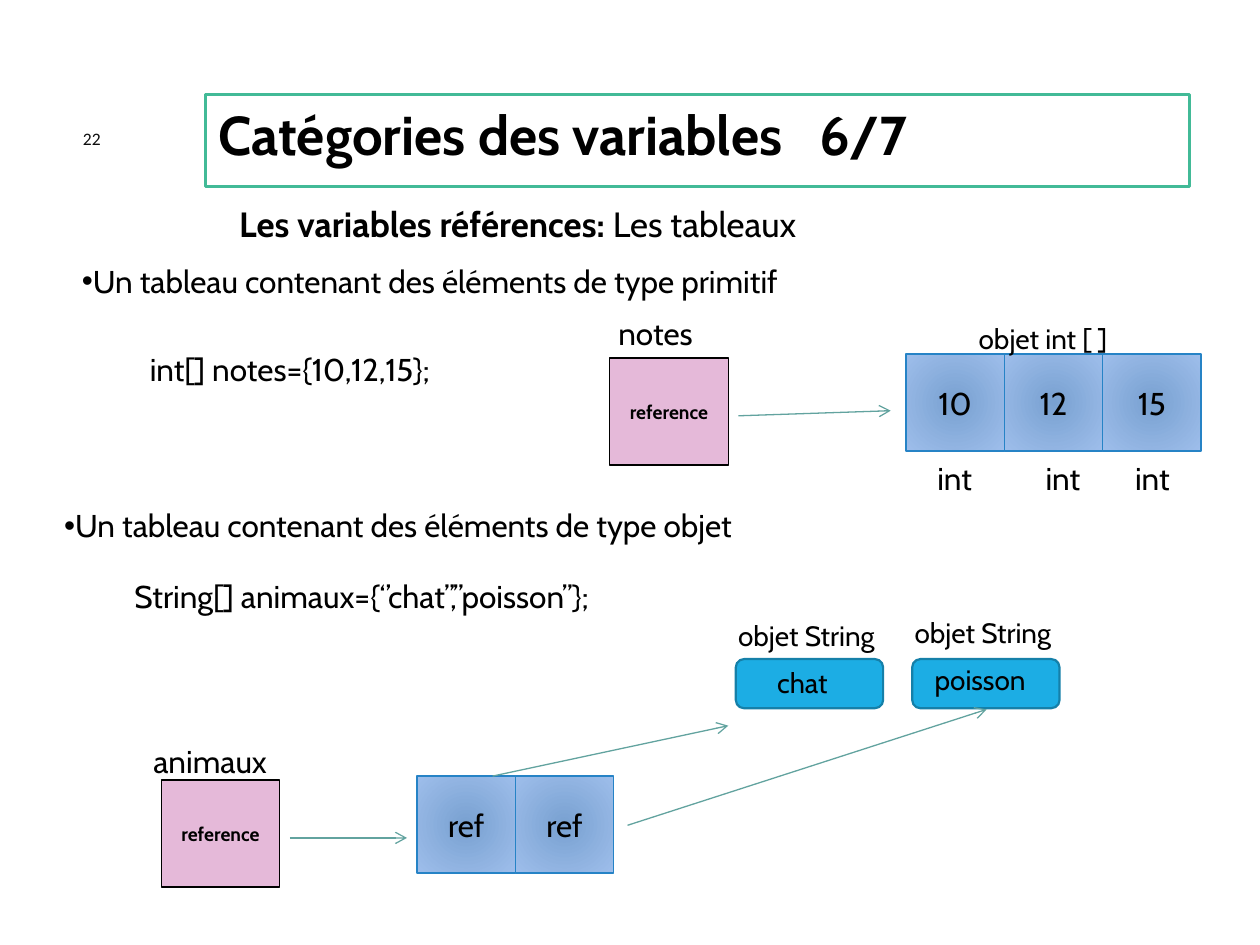
"""Build the slide on array reference variables."""
from dataclasses import dataclass

from lxml.etree import SubElement
from pptx import Presentation
from pptx.dml.color import RGBColor as Rgb
from pptx.enum.shapes import MSO_CONNECTOR as Link, MSO_SHAPE as Shape
from pptx.enum.text import MSO_ANCHOR as Anchor, MSO_AUTO_SIZE as Fit, PP_ALIGN as Align
from pptx.oxml.ns import qn
from pptx.util import Pt


@dataclass(frozen=True)
class Theme:
    """Colours, fonts and type sizes."""
    font: str = "Cabin"
    number_font: str = "Calibri"
    ink: str = "000000"
    number_ink: str = "0D0D0D"
    title_line: str = "42BA97"
    reference: str = "E5B9D9"
    cell_inner: str = "79A1D1"
    cell_outer: str = "9EBEEB"
    cell_line: str = "2683C6"
    string: str = "1CADE4"
    string_line: str = "1580A9"
    arrow: str = "62A39F"
    title: float = 31.2
    heading: float = 20
    body: float = 18
    label: float = 16
    small: float = 11
    number: float = 10


THEME = Theme()
CELL_WIDTH, CELL_HEIGHT = 56.2, 55.4


def place(shape, left, top, width, height):
    """Move and size a shape."""
    shape.left, shape.top = Pt(left), Pt(top)
    shape.width, shape.height = Pt(width), Pt(height)


def outline(shape, color, width):
    """Draw the border of a shape."""
    shape.line.color.rgb = Rgb.from_string(color)
    shape.line.width = Pt(width)


def write(shape, spans, size, align=Align.LEFT, anchor=Anchor.TOP,
          font=THEME.font, color=THEME.ink):
    """Write (text, bold) spans as one paragraph."""
    frame = shape.text_frame
    frame.word_wrap = True
    frame.auto_size = Fit.NONE
    frame.vertical_anchor = anchor
    para = frame.paragraphs[0]
    para.alignment = align
    para.space_before = Pt(0)
    for text, bold in spans:
        span = para.add_run()
        span.text = text
        span.font.name = font
        span.font.size = Pt(size)
        span.font.bold = bold
        span.font.color.rgb = Rgb.from_string(color)
    return para


def add_label(page, text, left, top, width, size=THEME.body):
    """Add a plain line of text."""
    box = page.shapes.add_textbox(Pt(left), Pt(top), Pt(width), Pt(28.8))
    write(box, [(text, False)], size)


def add_box(page, kind, left, top, width, height):
    """Add a preset shape without shadow."""
    box = page.shapes.add_shape(kind, Pt(left), Pt(top), Pt(width), Pt(height))
    box.shadow.inherit = False
    return box


def add_reference(page, left, top):
    """Add a reference square."""
    box = add_box(page, Shape.RECTANGLE, left, top, 67.7, 61.2)
    box.fill.solid()
    box.fill.fore_color.rgb = Rgb.from_string(THEME.reference)
    outline(box, THEME.ink, 0.75)
    write(box, [("reference", True)], THEME.small, Align.CENTER, Anchor.MIDDLE)


def shade(box):
    """Fill a cell with a radial gradient."""
    box.fill.gradient()
    colors = (THEME.cell_inner, THEME.cell_outer)
    for stop, position, color in zip(box.fill.gradient_stops, (0, 1), colors):
        stop.position = position
        stop.color.rgb = Rgb.from_string(color)
    gradient = box._element.spPr.find(qn("a:gradFill"))
    gradient.remove(gradient.find(qn("a:lin")))
    radial = SubElement(gradient, qn("a:path"), {"path": "circle"})
    SubElement(radial, qn("a:fillToRect"), dict.fromkeys("ltrb", "100000"))


def add_array(page, values, left, top):
    """Add a row of adjoining array cells."""
    for index, value in enumerate(values):
        box = add_box(page, Shape.RECTANGLE, left + index * CELL_WIDTH, top,
                      CELL_WIDTH, CELL_HEIGHT)
        shade(box)
        outline(box, THEME.cell_line, 0.75)
        write(box, [(value, False)], THEME.body, Align.CENTER, Anchor.MIDDLE)


def add_string(page, left):
    """Add a rounded String object."""
    box = add_box(page, Shape.ROUNDED_RECTANGLE, left, 376.6, 84.2, 28.1)
    box.fill.solid()
    box.fill.fore_color.rgb = Rgb.from_string(THEME.string)
    outline(box, THEME.string_line, 1.25)


def add_arrow(page, *ends):
    """Add an arrow between two points."""
    arrow = page.shapes.add_connector(Link.STRAIGHT, *map(Pt, ends))
    outline(arrow, THEME.arrow, 0.75)
    SubElement(arrow.line._get_or_add_ln(), qn("a:tailEnd"), {"type": "arrow"})
    SubElement(arrow._element.spPr, qn("a:effectLst"))


def add_bullet(body, text, left, top, width):
    """Set a body placeholder as a one-line list."""
    place(body, left, top, width, 28.8)
    properties = write(body, [(text, False)], THEME.body)._p.get_or_add_pPr()
    properties.set("marL", "0")
    properties.set("indent", "0")
    SubElement(properties, qn("a:buChar"), {"char": "•"})


def add_headings(page):
    """Add the title, page number and subtitle."""
    title = page.shapes.title
    place(title, 117.4, 54, 562.3, 52.6)
    outline(title, THEME.title_line, 1.25)
    write(title, [("Catégories des variables   6/7", True)], THEME.title)
    number = page.shapes.add_textbox(Pt(40.3), Pt(67.7), Pt(41.8), Pt(23))
    write(number, [("22", False)], THEME.number, anchor=Anchor.MIDDLE,
          font=THEME.number_font, color=THEME.number_ink)
    subtitle = page.shapes.add_textbox(Pt(129.6), Pt(112.3), Pt(438.5), Pt(31.7))
    write(subtitle, [("Les variables références: ", True), ("Les tableaux", False)],
          THEME.heading)


def add_primitive_array(page):
    """Draw the array of primitive values."""
    add_bullet(page.placeholders[1],
               "Un tableau contenant des éléments de type primitif", 39.6, 146.2, 481.7)
    add_label(page, "int[] notes={10,12,15};", 78.5, 196.6, 200.2)
    add_label(page, "notes", 346.3, 175.7, 64)
    add_reference(page, 348.5, 204.5)
    add_arrow(page, 421.9, 237.6, 509, 234.7)
    add_array(page, ("10", "12", "15"), 517.7, 202.3)
    add_label(page, "objet int [ ]", 552.2, 180, 100, THEME.label)
    for left in (528.5, 590.4, 641.5):
        add_label(page, "int", left, 258.5, 40)


def add_object_array(page):
    """Draw the array of String references."""
    add_bullet(page.placeholders[2],
               "Un tableau contenant des éléments de type objet", 29.5, 285.8, 470.2)
    add_label(page, "String[] animaux={‘’chat’’,’’poisson’’};", 69.8, 326.2, 348.5)
    add_label(page, "animaux", 80.6, 420.5, 90.7)
    add_reference(page, 92.2, 445.7)
    add_arrow(page, 165.6, 478.8, 232.6, 478.8)
    add_array(page, ("ref", "ref"), 238.3, 443.5)
    for left in (420.5, 521.3):
        add_string(page, left)
    add_label(page, "chat", 437, 376.6, 54, THEME.label)
    add_label(page, "poisson", 527, 375.1, 74, THEME.label)
    add_label(page, "objet String", 414.7, 349.9, 104, THEME.label)
    add_label(page, "objet String", 515.5, 348.5, 104, THEME.label)
    add_arrow(page, 281.5, 443.5, 416.2, 414.7)
    add_arrow(page, 358.6, 471.6, 563.8, 405.4)


def main():
    """Build and save the deck."""
    deck = Presentation()
    deck.slide_width, deck.slide_height = Pt(720), Pt(540)
    page = deck.slides.add_slide(deck.slide_layouts[3])
    add_headings(page)
    add_primitive_array(page)
    add_object_array(page)
    deck.save("out.pptx")


main()
